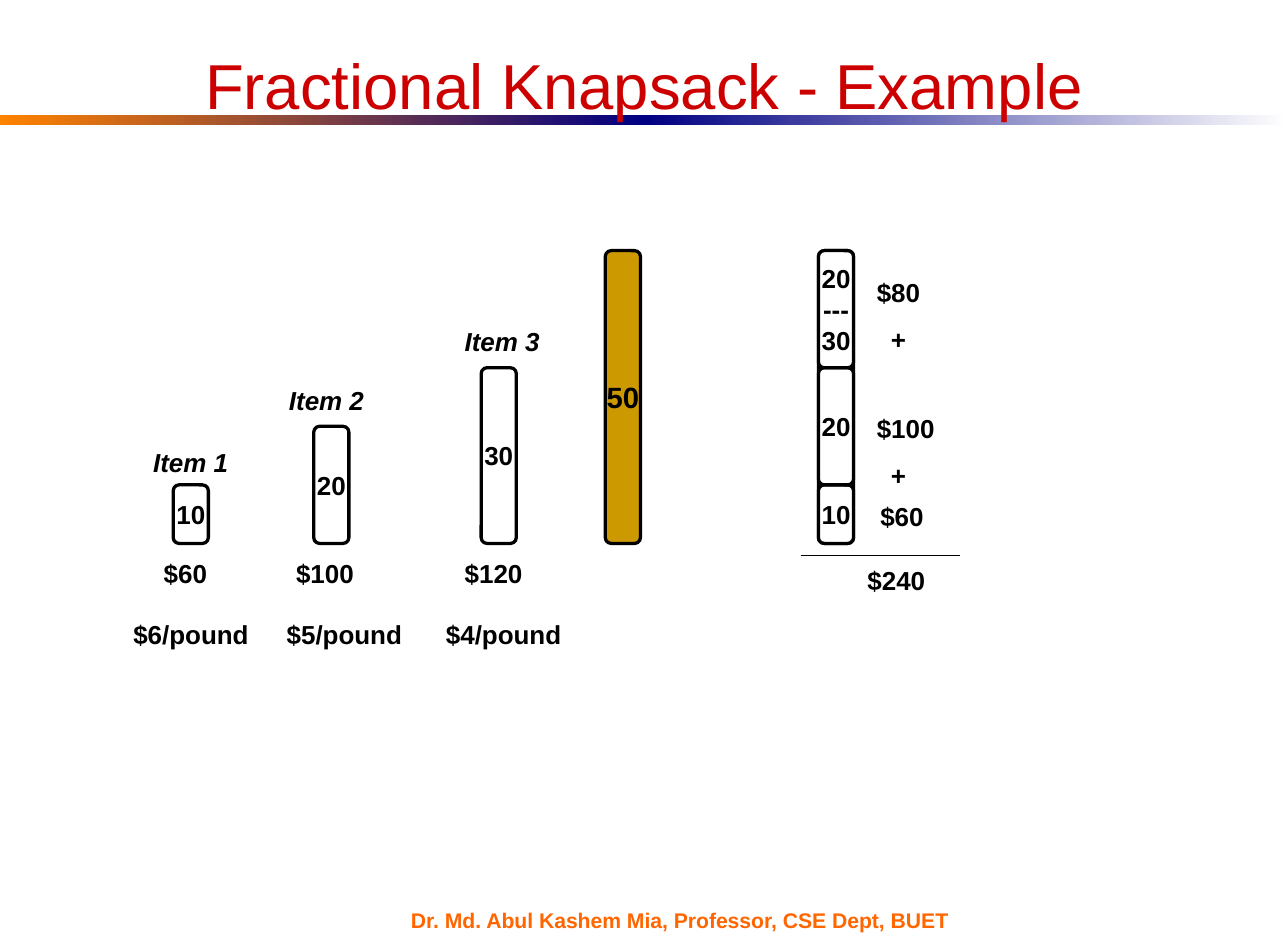
import pptx
import pptx.util
import pptx.dml.color
import pptx.enum.shapes
import pptx.enum.text
import pptx.oxml
import pptx.oxml.ns

RGBColor = pptx.dml.color.RGBColor
Shape = pptx.enum.shapes.MSO_SHAPE
Anchor = pptx.enum.text.MSO_ANCHOR
Align = pptx.enum.text.PP_ALIGN

BLACK = RGBColor(0, 0, 0)
WHITE = RGBColor(255, 255, 255)
RED = RGBColor(0xCC, 0, 0)
ORANGE = RGBColor(0xFF, 0x66, 0)
AMBER = RGBColor(0xFF, 0x82, 0)
NAVY = RGBColor(0, 0, 0x82)
GOLD = RGBColor(0xCC, 0x99, 0)

PX = 9144          # 100 px to the inch
POUND = 5          # bar height in px for one pound
BAR_WIDTH = 30
CORNER = 5


def px(length):
    return pptx.util.Emu(length * PX)


def frame(left, top, width, height):
    return px(left), px(top), px(width), px(height)


def write(shape, text, size, color=BLACK, bold=True, italic=False,
          align=Align.LEFT, anchor=Anchor.TOP, inset=(10, 5)):
    text_frame = shape.text_frame
    text_frame.text = text
    text_frame.word_wrap = False
    text_frame.vertical_anchor = anchor
    text_frame.margin_left = text_frame.margin_right = px(inset[0])
    text_frame.margin_top = text_frame.margin_bottom = px(inset[1])
    for para in text_frame.paragraphs:
        para.alignment = align
        for span in para.runs:
            span.font.name = "Arial"
            span.font.size = pptx.util.Pt(size)
            span.font.bold = bold
            span.font.italic = italic
            span.font.color.rgb = color
    return text_frame


def label(page, left, top, width, text, height=37, size=16, **style):
    box = page.shapes.add_textbox(*frame(left, top, width, height))
    return write(box, text, size, **style)


def bar(page, left, bottom, weight, text="", size=16, fill=WHITE):
    height = weight * POUND
    box = page.shapes.add_shape(
        Shape.ROUNDED_RECTANGLE, *frame(left, bottom - height, BAR_WIDTH, height))
    box.adjustments[0] = CORNER / BAR_WIDTH
    box.shadow.inherit = False
    box.fill.solid()
    box.fill.fore_color.rgb = fill
    box.line.color.rgb = BLACK
    box.line.width = pptx.util.Pt(2)
    if text:
        write(box, text, size, align=Align.CENTER, anchor=Anchor.MIDDLE, inset=(0, 0))


def heading(page, left, top, width):
    # Two gradient halves under the title
    half = width // 2
    for index, colors in enumerate([(AMBER, NAVY), (NAVY, WHITE)]):
        band = page.shapes.add_shape(
            Shape.RECTANGLE, *frame(left + index * half, top + 98, half, 9))
        band.shadow.inherit = False
        band.line.fill.background()
        band.fill.gradient()
        band.fill.gradient_angle = 0
        for stop, color in zip(band.fill.gradient_stops, colors):
            stop.color.rgb = color
    title = label(page, left + 55, top + 34, width - 110, "Fractional Knapsack - Example",
                  height=54, size=39, color=RED, bold=False, align=Align.CENTER)
    title.word_wrap = True


def item_chart(page, left, base):
    # weight, bar, name position, value, price per pound
    items = [
        (10, 44, (17, 88), (26, 57, "$60"), (0, "$6/pound")),
        (20, 164, (133, 141), (139, 69, "$100"), (131, "$5/pound")),
        (30, 307, (283, 191), (283, 69, "$120"), (267, "$4/pound")),
    ]
    for number, (weight, bar_left, name, value, price) in enumerate(items, 1):
        bar(page, left + bar_left, base, weight, str(weight))
        label(page, left + name[0], base - name[1], 84, f"Item {number}", italic=True)
        label(page, left + value[0], base + 7, value[1], value[2])
        label(page, left + price[0], base + 59, 119, price[1])
    # Empty knapsack
    bar(page, left + 413, base, 50, "50", size=18, fill=GOLD)


def packed_knapsack(page, left, base):
    # Knapsack with the packed items stacked from the bottom
    bar(page, left, base, 50, fill=GOLD)
    bottom = base
    for weight, text in [(10, "10"), (20, "20"), (20, "20\n---\n30")]:
        bar(page, left, bottom, weight, text)
        bottom -= weight * POUND

    # Values added up beside the stack
    for top, width, value in [(base - 233, 57, "$80"), (base - 117, 69, "$100")]:
        text_frame = label(page, left + 40, top, width, f"{value}\n+", height=77)
        plus = text_frame.paragraphs[1]
        plus.space_before = pptx.util.Pt(10)
        plus._p.get_or_add_pPr().set("marL", str(px(12)))
    label(page, left + 43, base - 42, 57, "$60")

    # Sum line and total
    rule = page.shapes.add_connector(
        pptx.enum.shapes.MSO_CONNECTOR.STRAIGHT,
        px(left - 15), px(base + 10), px(left + 121), px(base + 10))
    rule.line.color.rgb = BLACK
    rule.line.width = pptx.util.Pt(0.75)
    rule._element.spPr.append(
        pptx.oxml.parse_xml(f"<a:effectLst {pptx.oxml.ns.nsdecls('a')}/>"))
    label(page, left + 32, base + 13, 69, "$240")


def footer(page, left, top):
    label(page, left, top, 513, "Dr. Md. Abul Kashem Mia, Professor, CSE Dept, BUET",
          height=19, size=13, color=ORANGE, anchor=Anchor.MIDDLE, inset=(11, 5))


def main():
    deck = pptx.Presentation()
    deck.slide_width, deck.slide_height = px(1100), px(800)
    page = deck.slides.add_slide(deck.slide_layouts[6])
    heading(page, 0, 0, 1100)
    item_chart(page, 104, 464)
    packed_knapsack(page, 699, 464)
    footer(page, 340, 776)
    deck.save("out.pptx")


if __name__ == "__main__":
    main()
